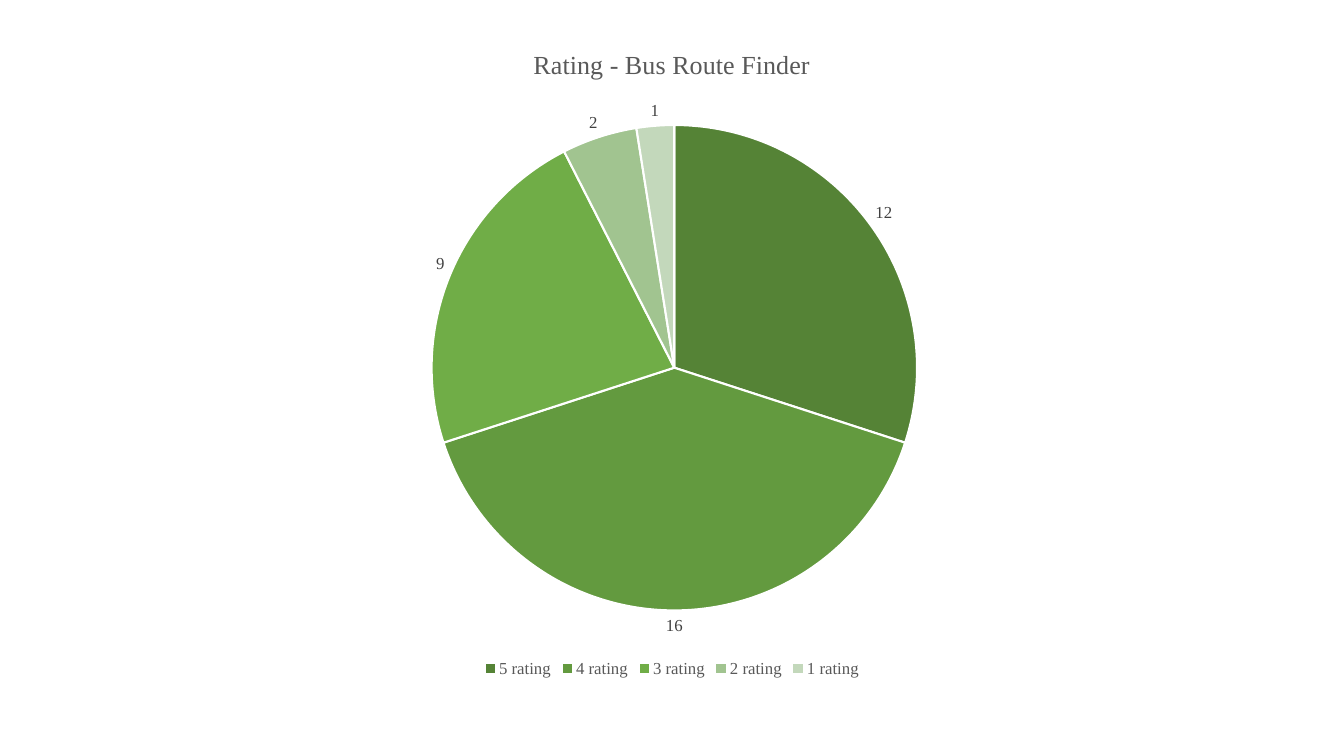
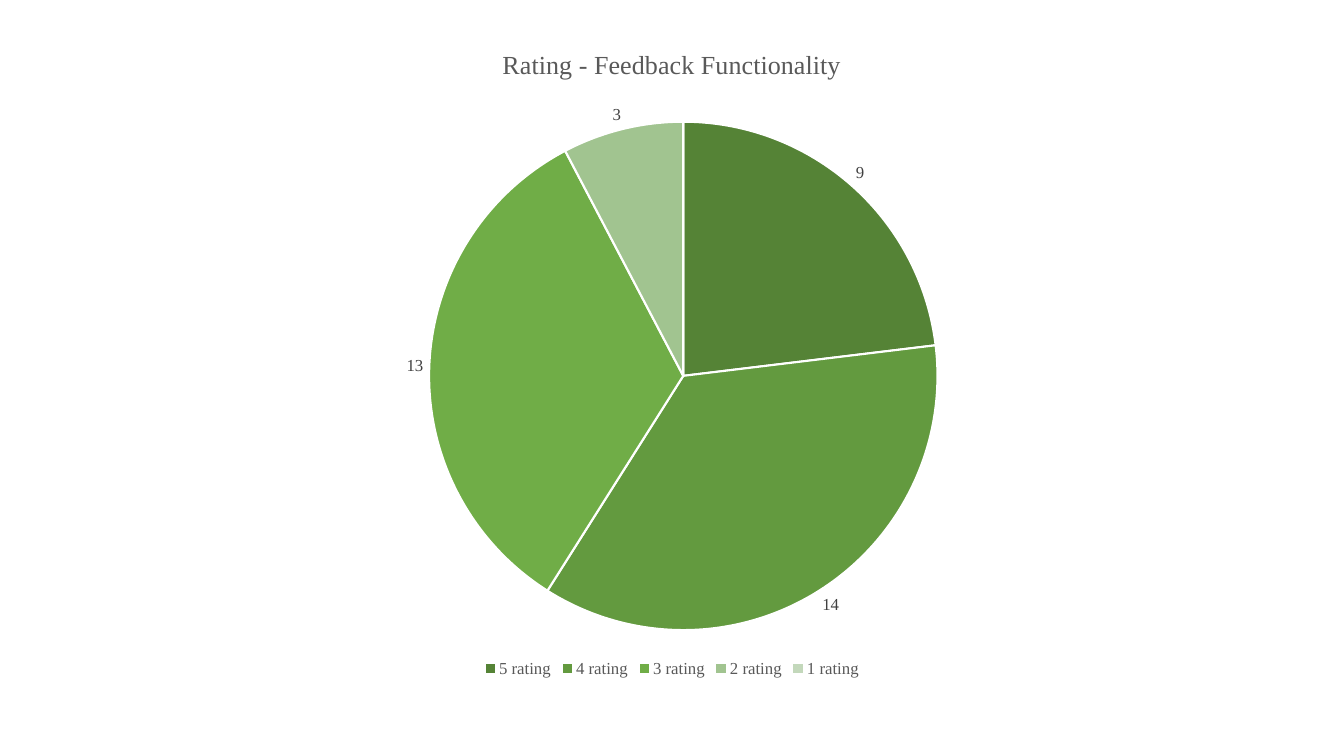
"""Build two slides, each with a pie chart of user ratings."""
from dataclasses import dataclass
from typing import Any

import pptx
import pptx.chart.data
import pptx.dml.color
import pptx.enum.chart
import pptx.presentation
import pptx.util

Pt = pptx.util.Pt
RGBColor = pptx.dml.color.RGBColor

WHITE = RGBColor(0xFF, 0xFF, 0xFF)
BLACK = RGBColor(0x00, 0x00, 0x00)
HEADING_GREY = RGBColor(0x59, 0x59, 0x59)
VALUE_GREY = RGBColor(0x40, 0x40, 0x40)
RATING_GREENS = (
    RGBColor(0x55, 0x83, 0x36),
    RGBColor(0x63, 0x9A, 0x3F),
    RGBColor(0x70, 0xAD, 0x47),
    RGBColor(0xA1, 0xC4, 0x90),
    RGBColor(0xC3, 0xD8, 0xBB),
)
RATINGS = [f"{stars} rating" for stars in range(5, 0, -1)]
BLANK_LAYOUT = 6
PIE_AREA = (Pt(66), Pt(18), Pt(828), Pt(468.7))


@dataclass(frozen=True)
class Survey:
    """Number of votes per rating for one feature."""

    feature: str
    votes: tuple[int, ...]


SURVEYS = (
    Survey("Bus Route Finder", (12, 16, 9, 2, 1)),
    Survey("Feedback Functionality", (9, 14, 13, 3, 0)),
)


def apply(target: Any, values: dict[str, Any]) -> None:
    """Set each named attribute of the target."""
    for name, value in values.items():
        setattr(target, name, value)


def style_font(font: Any, size: float, color: RGBColor) -> None:
    """Give a font the shared typeface with its own size and colour."""
    apply(font, {"name": "Times New Roman", "size": Pt(size), "bold": False})
    font.color.rgb = color


def add_survey(deck: pptx.presentation.Presentation, survey: Survey) -> None:
    """Add a slide with the pie chart of one survey."""
    slide = deck.slides.add_slide(deck.slide_layouts[BLANK_LAYOUT])
    heading = f"Rating - {survey.feature}"
    votes = pptx.chart.data.CategoryChartData(number_format="General")
    votes.categories = RATINGS
    votes.add_series(heading, survey.votes)
    pie = slide.shapes.add_chart(
        pptx.enum.chart.XL_CHART_TYPE.PIE, *PIE_AREA, votes
    ).chart
    style_font(pie.font, 10, BLACK)

    apply(pie, {"has_title": True, "has_legend": True})
    pie.chart_title.include_in_layout = False
    pie.chart_title.text_frame.text = heading
    heading_run = pie.chart_title.text_frame.paragraphs[0].runs[0]
    style_font(heading_run.font, 18.6, HEADING_GREY)

    apply(pie.legend, {
        "position": pptx.enum.chart.XL_LEGEND_POSITION.BOTTOM,
        "include_in_layout": False,
    })
    style_font(pie.legend.font, 12, HEADING_GREY)

    plot = pie.plots[0]
    plot.vary_by_categories = True
    slices = plot.series[0]
    for index, green in enumerate(RATING_GREENS):
        wedge = slices.points[index].format
        wedge.fill.solid()
        wedge.fill.fore_color.rgb = green
        wedge.line.color.rgb = WHITE
        wedge.line.width = Pt(1.5)

    counts = slices.data_labels
    apply(counts, {
        "show_value": True,
        "position": pptx.enum.chart.XL_LABEL_POSITION.OUTSIDE_END,
        "number_format": "0;;;",
        "number_format_is_linked": False,
    })
    style_font(counts.font, 12, VALUE_GREY)


def main() -> None:
    """Build and save the deck."""
    deck = pptx.Presentation()
    apply(deck, {"slide_width": Pt(960), "slide_height": Pt(540)})
    for survey in SURVEYS:
        add_survey(deck, survey)
    deck.save("out.pptx")


main()
